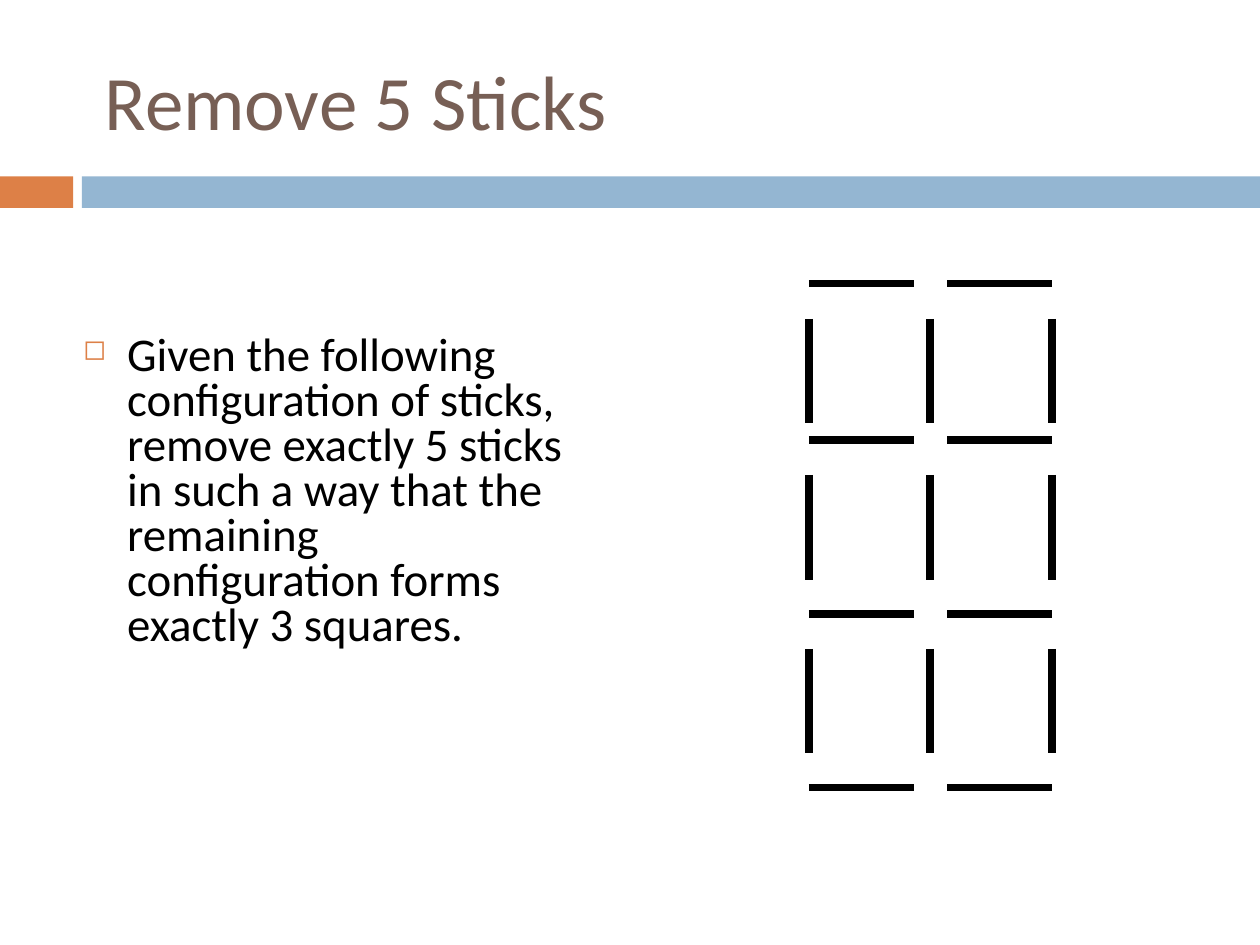
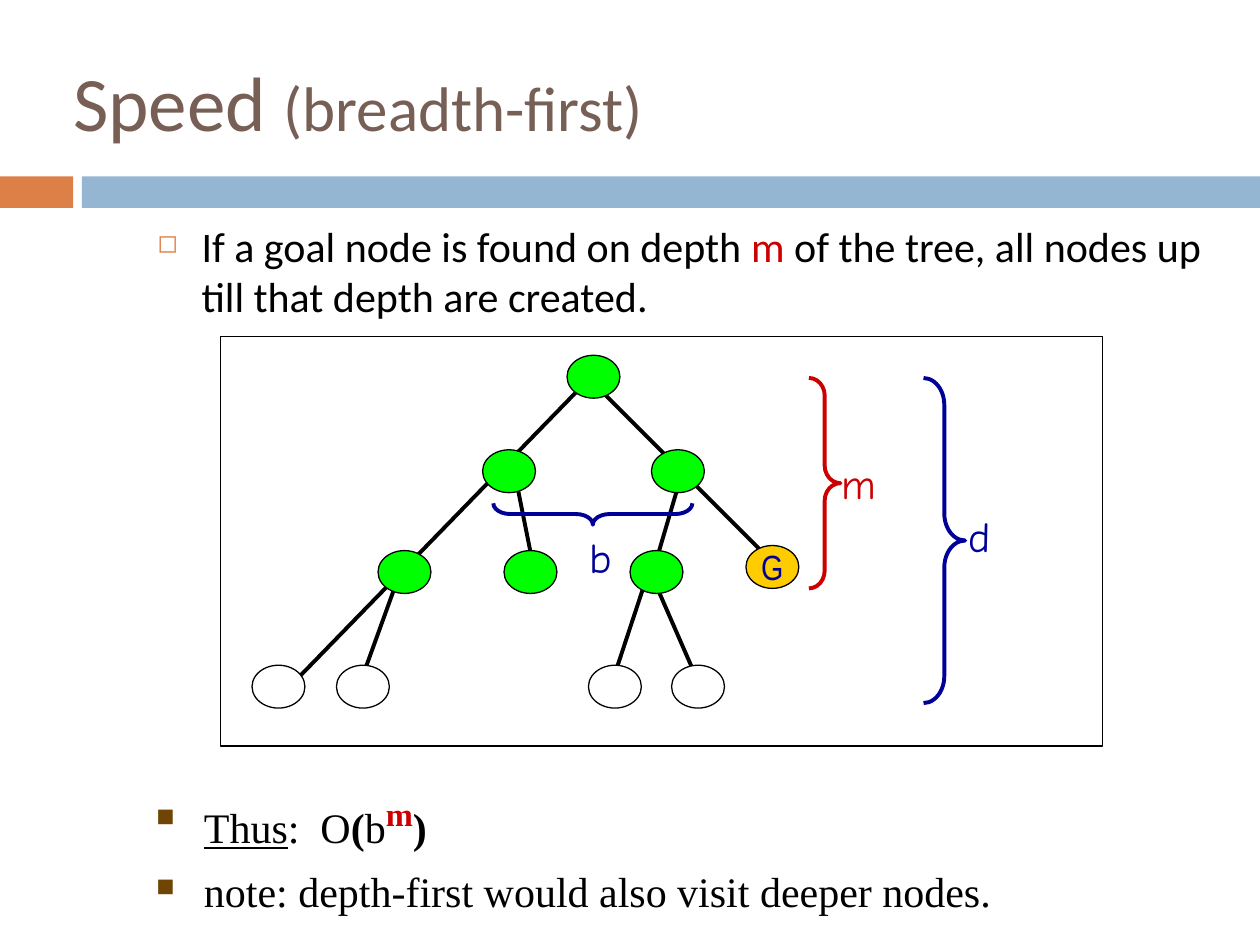
from dataclasses import dataclass
from itertools import product
from typing import NamedTuple

from pptx import Presentation
from pptx.dml.color import RGBColor
from pptx.enum.shapes import MSO_CONNECTOR, MSO_SHAPE
from pptx.enum.text import MSO_ANCHOR, PP_ALIGN
from pptx.oxml.ns import qn
from pptx.util import Inches, Pt
from lxml.etree import SubElement


@dataclass(frozen=True)
class Theme:
    title: str = "775F55"
    orange: str = "DD8047"
    band: str = "94B6D2"
    brown: str = "704404"
    black: str = "000000"
    white: str = "FFFFFF"
    red: str = "CC0000"
    navy: str = "000099"
    visited: str = "00FF00"
    goal: str = "FFCC00"
    sans: str = "Calibri"
    serif: str = "Times New Roman"
    comic: str = "Comic Neue"
    narrow: str = "Arial Narrow"
    title_size: float = 44
    subtitle_size: float = 36
    puzzle_size: float = 26.8
    body_size: float = 24
    exponent_size: float = 32
    node_size: float = 20


T = Theme()


class Box(NamedTuple):
    x: float
    y: float
    w: float
    h: float

    def emu(self) -> list:
        return [Inches(v) for v in self]


class Run(NamedTuple):
    text: str
    size: float = T.body_size
    color: str = T.black
    font: str = T.sans
    bold: bool = False
    underline: bool = False
    baseline: int = 0


class Bullet(NamedTuple):
    char: str
    color: str
    indent: float


class Edge(NamedTuple):
    x1: float
    y1: float
    x2: float
    y2: float


class Node(NamedTuple):
    x: float
    y: float
    color: str
    label: str = ""


class Brace(NamedTuple):
    box: Box
    color: str
    curve: float
    rotation: float
    label: str
    label_box: Box


SQUARE = Bullet("◻", T.orange, 0.35)
BLOCK = Bullet("■", T.brown, 0.38)
NODE_W, NODE_H = 0.42, 0.34

EDGES = [
    Edge(4.67, 3, 6.17, 4.5),
    Edge(5.17, 4.56, 5.58, 5.5),
    Edge(5.17, 4.47, 4.83, 5.5),
    Edge(3.17, 4.56, 2.83, 5.5),
    Edge(5.42, 3.73, 5.17, 4.58),
    Edge(4.08, 3.73, 4.25, 4.58),
    Edge(4.75, 2.93, 2.25, 5.5),
]
NODES = [
    Node(4.5, 2.82, T.visited),
    *(Node(x, 3.57, T.visited) for x in (3.83, 5.17)),
    *(Node(x, 4.37, T.visited) for x in (3, 4, 5)),
    Node(5.92, 4.33, T.goal, "G"),
    *(Node(x, 5.28, T.white) for x in (2, 2.67, 4.67, 5.33)),
]
BRACES = [
    Brace(Box(7.33, 3, 0.33, 2.58), T.navy, 0.65, 0, "d", Box(7.59, 4, 0.37, 0.5)),
    Brace(Box(4.62, 3.29, 0.17, 1.58), T.navy, 0.79, 90, "b", Box(4.58, 4.17, 0.38, 0.5)),
    Brace(Box(6.42, 3, 0.25, 1.67), T.red, 0.56, 0, "m", Box(6.58, 3.58, 0.47, 0.5)),
]


def rgb(value: str) -> RGBColor:
    return RGBColor.from_string(value)


def add_bullet(p, bullet: Bullet) -> None:
    ppr = p._p.get_or_add_pPr()
    ppr.set("marL", str(Inches(bullet.indent)))
    ppr.set("indent", str(-Inches(bullet.indent)))
    color = SubElement(ppr, qn("a:buClr"))
    SubElement(color, qn("a:srgbClr")).set("val", bullet.color)
    SubElement(ppr, qn("a:buSzPct")).set("val", "60000")
    SubElement(ppr, qn("a:buChar")).set("char", bullet.char)


def write(tf, paragraphs: list[list[Run]], *, bullet: Bullet | None = None,
          line_spacing: float | None = None, space_before: float = 0,
          align=PP_ALIGN.LEFT, anchor=MSO_ANCHOR.TOP, wrap: bool = True,
          inset: tuple[float, float] = (0.1, 0.05)) -> None:
    tf.word_wrap = wrap
    tf.vertical_anchor = anchor
    tf.margin_left = tf.margin_right = Inches(inset[0])
    tf.margin_top = tf.margin_bottom = Inches(inset[1])
    for i, runs in enumerate(paragraphs):
        p = tf.add_paragraph() if i else tf.paragraphs[0]
        if bullet:
            add_bullet(p, bullet)
        p.alignment = align
        if line_spacing:
            p.line_spacing = line_spacing
        p.space_before = Pt(space_before if i else 0)
        for run in runs:
            r = p.add_run()
            r.text = run.text
            r.font.size = Pt(run.size)
            r.font.name = run.font
            r.font.bold = run.bold
            r.font.underline = run.underline
            r.font.color.rgb = rgb(run.color)
            if run.baseline:
                r.font._element.set("baseline", str(run.baseline * 1000))


def add_text(s, box: Box, paragraphs: list[list[Run]], **fmt):
    sp = s.shapes.add_textbox(*box.emu())
    write(sp.text_frame, paragraphs, **fmt)
    return sp


def add_shape(s, kind, box: Box, *, fill: str | None = None,
              line: str | None = None, width: float = 0.75):
    sp = s.shapes.add_shape(kind, *box.emu())
    sp.shadow.inherit = False
    if fill:
        sp.fill.solid()
        sp.fill.fore_color.rgb = rgb(fill)
    else:
        sp.fill.background()
    if line:
        sp.line.color.rgb = rgb(line)
        sp.line.width = Pt(width)
    else:
        sp.line.fill.background()
    return sp


def add_line(s, edge: Edge, width: float) -> None:
    c = s.shapes.add_connector(MSO_CONNECTOR.STRAIGHT, *[Inches(v) for v in edge])
    c.line.color.rgb = rgb(T.black)
    c.line.width = Pt(width)
    SubElement(c._element.spPr, qn("a:effectLst"))


def add_brace(s, brace: Brace) -> None:
    sp = add_shape(s, MSO_SHAPE.RIGHT_BRACE, brace.box, line=brace.color, width=2.25)
    sp.adjustments[0] = brace.curve
    sp.rotation = brace.rotation
    add_text(s, brace.label_box,
             [[Run(brace.label, color=brace.color, font=T.comic)]], wrap=False)


def add_node(s, node: Node) -> None:
    sp = add_shape(s, MSO_SHAPE.OVAL, Box(node.x, node.y, NODE_W, NODE_H),
                   fill=node.color, line=T.black)
    if node.label:
        write(sp.text_frame, [[Run(node.label, T.node_size, T.navy, T.narrow)]],
              align=PP_ALIGN.CENTER, anchor=MSO_ANCHOR.MIDDLE, wrap=False)


def add_slide(prs, title_box: Box, title: list[Run]):
    s = prs.slides.add_slide(prs.slide_layouts[6])
    add_shape(s, MSO_SHAPE.RECTANGLE, Box(0, 1.4, 0.58, 0.25), fill=T.orange)
    add_shape(s, MSO_SHAPE.RECTANGLE, Box(0.65, 1.4, 9.35, 0.25), fill=T.band)
    add_text(s, title_box, [title], anchor=MSO_ANCHOR.MIDDLE, inset=(0.08, 0.05))
    return s


def sticks_slide(prs) -> None:
    s = add_slide(prs, Box(0.75, 0.33, 8.5, 0.92),
                  [Run("Remove 5 Sticks", T.title_size, T.title)])
    add_text(s, Box(0.58, 2.58, 4.08, 3.25), [[Run(
        "Given the following configuration of sticks, remove exactly 5 sticks "
        "in such a way that the remaining configuration forms exactly 3 squares.",
        T.puzzle_size)]], bullet=SQUARE, line_spacing=0.8, inset=(0.08, 0.08))
    stick = 0.83
    rows = (2.25, 3.49, 4.87, 6.25)
    for y, x in product(rows, (6.42, 7.52)):
        add_line(s, Edge(x, y, x + stick, y), 4.5)
    for y, x in product(rows[:-1], (6.42, 7.38, 8.35)):
        add_line(s, Edge(x, y + 0.28, x, y + 0.28 + stick), 4.5)


def speed_slide(prs) -> None:
    s = add_slide(prs, Box(0.5, 0.17, 9.17, 1.25), [
        Run("Speed ", T.title_size, T.title),
        Run("(breadth-first)", T.subtitle_size, T.title)])
    add_text(s, Box(1.17, 1.67, 8.5, 1.17), [[
        Run("If a goal node is found on depth "),
        Run("m", color=T.red),
        Run(" of the tree, all nodes up till that depth are created."),
    ]], bullet=SQUARE, inset=(0.08, 0.08))
    add_shape(s, MSO_SHAPE.RECTANGLE, Box(1.75, 2.67, 7, 3.25),
              fill=T.white, line=T.black)
    for edge in EDGES:
        add_line(s, edge, 2.25)
    for node in NODES:
        add_node(s, node)
    for brace in BRACES:
        add_brace(s, brace)
    add_text(s, Box(1.14, 6.2, 9, 1.08), [
        [Run("Thus", font=T.serif, underline=True),
         Run(":  O", font=T.serif),
         Run("(", font=T.serif, bold=True),
         Run("b", font=T.serif),
         Run("m", T.exponent_size, T.red, T.serif, bold=True, baseline=30),
         Run(")", font=T.serif, bold=True)],
        [Run("note: depth-first would also visit deeper nodes.", font=T.serif)],
    ], bullet=BLOCK, space_before=6)


def main() -> None:
    prs = Presentation()
    prs.slide_width, prs.slide_height = Inches(10), Inches(7.5)
    sticks_slide(prs)
    speed_slide(prs)
    prs.save("out.pptx")


if __name__ == "__main__":
    main()
